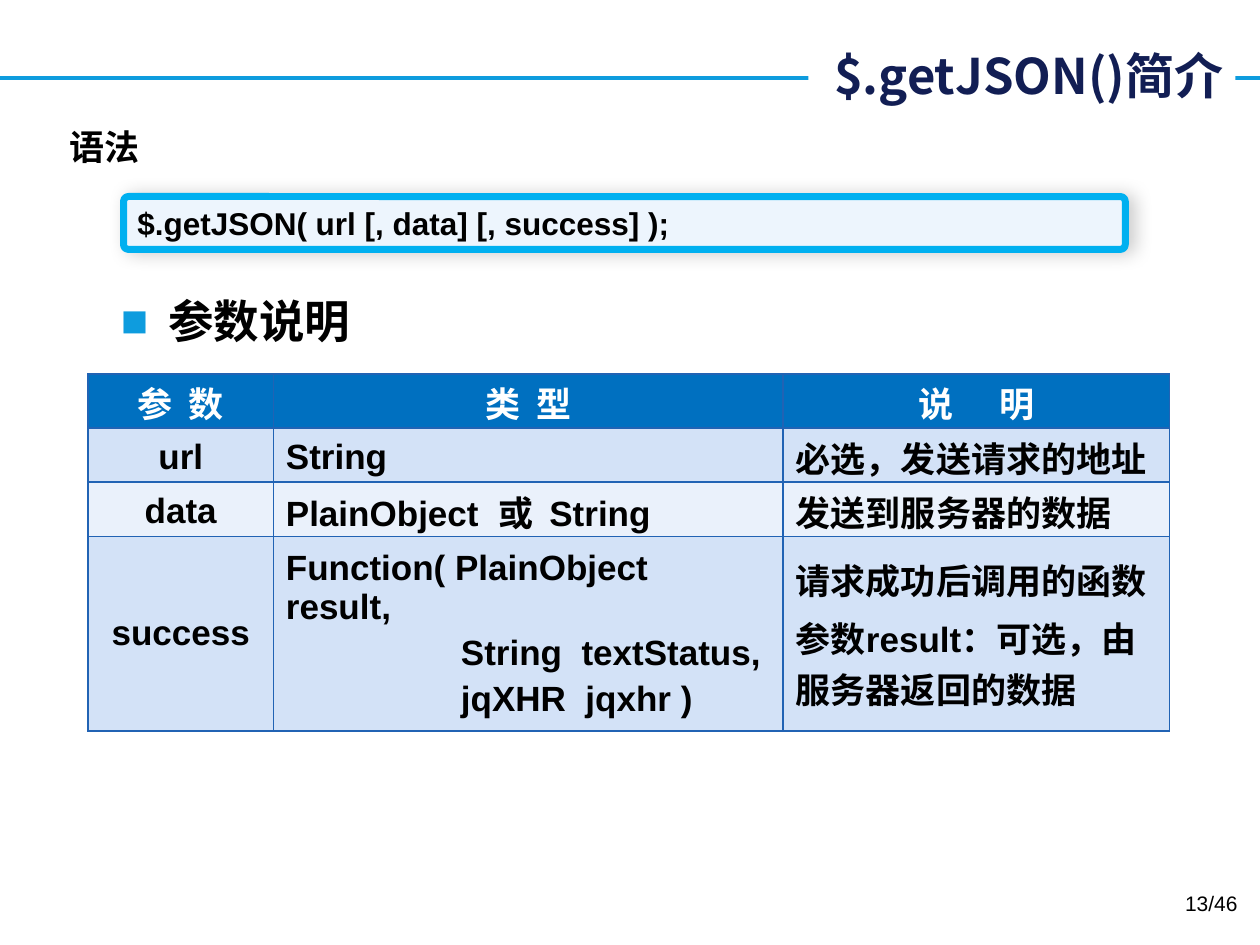
from lxml import etree
from pptx import Presentation
from pptx.dml.color import RGBColor
from pptx.enum import shapes, text
from pptx.oxml.ns import qn
from pptx.util import Pt

COLORS = {
    "rule": "0E9CDE", "title": "121E54", "ink": "000000", "white": "FFFFFF",
    "code_fill": "EDF5FD", "code_line": "00B0F0", "border": "2163B4",
    "header": "0070C0", "odd": "D3E2F7", "even": "EAF1FB",
}
LATIN, CJK = "Arial", "Noto Sans CJK SC"
LEFT, CENTER, RIGHT = text.PP_ALIGN.LEFT, text.PP_ALIGN.CENTER, text.PP_ALIGN.RIGHT
TOP, MIDDLE = text.MSO_ANCHOR.TOP, text.MSO_ANCHOR.MIDDLE


def rgb(name):
    return RGBColor.from_string(COLORS[name])


def child(parent, tag, **attrs):
    return etree.SubElement(parent, qn(tag), attrs)


def add_shadow(props, blur, dist, direction, alpha):
    """Append an outer shadow to shape or run properties."""
    effects = child(props, "a:effectLst")
    shadow = child(effects, "a:outerShdw", blurRad=str(Pt(blur)), dist=str(Pt(dist)),
                   dir=str(direction * 60000), algn="ctr", rotWithShape="0")
    color = child(shadow, "a:srgbClr", val=COLORS["ink"])
    child(color, "a:alpha", val=str(alpha * 1000))


def add_run(p, words, size, font=LATIN, color="ink", bold=True, spacing=0):
    r = p.add_run()
    r.text = words
    r.font.size, r.font.bold, r.font.name = Pt(size), bold, font
    r.font.color.rgb = rgb(color)
    props = r.font._element
    props.find(qn("a:latin")).addnext(props.makeelement(qn("a:ea"), {"typeface": CJK}))
    if spacing:
        props.set("spc", str(int(spacing * 100)))
    return r


def prepare(tf, anchor=TOP, align=LEFT, wrap=True):
    tf.word_wrap, tf.vertical_anchor = wrap, anchor
    p = tf.paragraphs[0]
    p.alignment = align
    return p


def add_text(s, box, anchor=TOP, align=LEFT, wrap=True):
    """Add a text box and return its first paragraph."""
    sp = s.shapes.add_textbox(*map(Pt, box))
    return prepare(sp.text_frame, anchor, align, wrap)


def add_box(s, kind, box, fill, line=None, width=0):
    sp = s.shapes.add_shape(kind, *map(Pt, box))
    sp.shadow.inherit = False
    sp.fill.solid()
    sp.fill.fore_color.rgb = rgb(fill)
    if line:
        sp.line.color.rgb, sp.line.width = rgb(line), Pt(width)
    else:
        sp.line.fill.background()
    return sp


def add_rule(s, y):
    line = s.shapes.add_connector(shapes.MSO_CONNECTOR.STRAIGHT, 0, Pt(y), Pt(720), Pt(y))
    line.line.color.rgb, line.line.width = rgb("rule"), Pt(2.25)
    child(line._element.spPr, "a:effectLst")


def add_title(s):
    sp = add_box(s, shapes.MSO_SHAPE.RECTANGLE, (462, 22.3, 244, 41), "white")
    p = prepare(sp.text_frame, MIDDLE, RIGHT)
    add_run(p, "$.getJSON()简介", 28, CJK, "title")


def add_code(s):
    sp = add_box(s, shapes.MSO_SHAPE.ROUNDED_RECTANGLE, (70.6, 112.3, 572.4, 30.2),
                 "code_fill", "code_line", 4)
    sp.adjustments[0] = 0.09
    props = sp._element.spPr
    props.remove(props.find(qn("a:effectLst")))
    add_shadow(props, 10, 3, 0, 20)
    p = prepare(sp.text_frame, MIDDLE)
    add_run(p, "$.getJSON( url [, data] [, success] );", 18)


def add_bullet(s, box, words):
    p = add_text(s, box)
    props = p._p.get_or_add_pPr()
    props.set("marL", str(Pt(27)))
    props.set("indent", str(Pt(-27)))
    color = child(props, "a:buClr")
    child(color, "a:srgbClr", val=COLORS["rule"])
    child(props, "a:buFont", typeface=LATIN)
    child(props, "a:buChar", char="■")
    add_run(p, words, 26)


def style_cell(cell, fill):
    props = cell._tc.get_or_add_tcPr()
    for side in ("a:lnL", "a:lnR", "a:lnT", "a:lnB"):
        line = child(props, side, w=str(Pt(1)))
        solid = child(line, "a:solidFill")
        child(solid, "a:srgbClr", val=COLORS["border"])
    cell.fill.solid()
    cell.fill.fore_color.rgb = rgb(fill)


def fill_header(cell, first, last, gap):
    """Write two characters with a widened space between them."""
    p = prepare(cell.text_frame, TOP, CENTER)
    for words, spacing in ((first, 0), (" ", gap), (last, 0)):
        add_run(p, words, 20, CJK, "white", spacing=spacing)


def fill_body(cell, lines, align, hanging):
    tf = cell.text_frame
    cell.vertical_anchor = MIDDLE
    for i, words in enumerate(lines):
        p = tf.add_paragraph() if i else tf.paragraphs[0]
        p.alignment = align
        if i:
            p.space_before = Pt(4)
            p._p.get_or_add_pPr().set("marL", str(Pt(hanging)))
        add_run(p, words, 20)


def add_parameters(s):
    widths, heights = (105.8, 291.4, 220.8), (31, 31, 31, 111)
    header = (("参", "数", 4.5), ("类", "型", 4.5), ("说", "明", 22))
    body = (
        (["url"], ["String"], ["必选，发送请求的地址"]),
        (["data"], ["PlainObject  或  String"], ["发送到服务器的数据"]),
        (["success"],
         ["Function( PlainObject  result,", "String  textStatus,", "jqXHR  jqxhr )"],
         ["请求成功后调用的函数", "参数result：可选，由服务器返回的数据"]),
    )
    table = s.shapes.add_table(4, 3, Pt(50.4), Pt(213.6), Pt(sum(widths)),
                               Pt(sum(heights))).table
    table.first_row = table.horz_banding = False
    for column, width in zip(table.columns, widths):
        column.width = Pt(width)
    for row, height in zip(table.rows, heights):
        row.height = Pt(height)
    for i, row in enumerate(table.rows):
        for j, cell in enumerate(row.cells):
            style_cell(cell, ("odd" if i % 2 else "even") if i else "header")
            if i < len(body):
                cell.margin_top, cell.margin_bottom = Pt(2), Pt(0)
            if i:
                fill_body(cell, body[i - 1][j], LEFT if j else CENTER, 100 if j == 1 else 0)
            else:
                fill_header(cell, *header[j])


def main():
    prs = Presentation()
    prs.slide_width, prs.slide_height = Pt(720), Pt(540)
    s = prs.slides.add_slide(prs.slide_layouts[6])
    add_rule(s, 44.6)
    add_bullet(s, (62, 164, 602, 45), "参数说明")
    add_title(s)
    label = add_run(add_text(s, (32.4, 67.7, 55.4, 31.7), MIDDLE, wrap=False), "语法", 20, CJK)
    effects = etree.Element("holder")
    add_shadow(effects, 3, 2, 45, 43)
    label.font._element.find(qn("a:solidFill")).addnext(effects[0])
    add_code(s)
    add_parameters(s)
    page = add_text(s, (546.5, 505.4, 167.8, 28.8), align=RIGHT)
    add_run(page, "13/46", 12, bold=False)
    prs.save("out.pptx")


if __name__ == "__main__":
    main()
